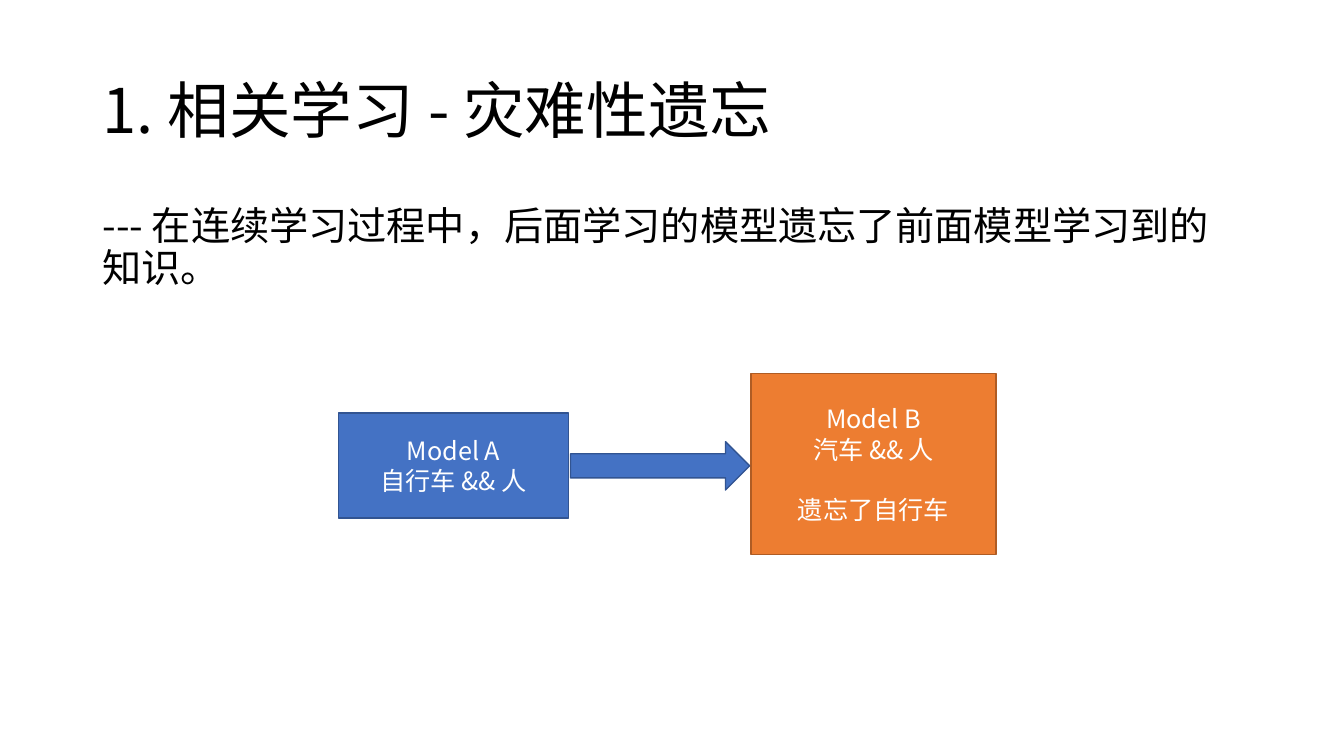
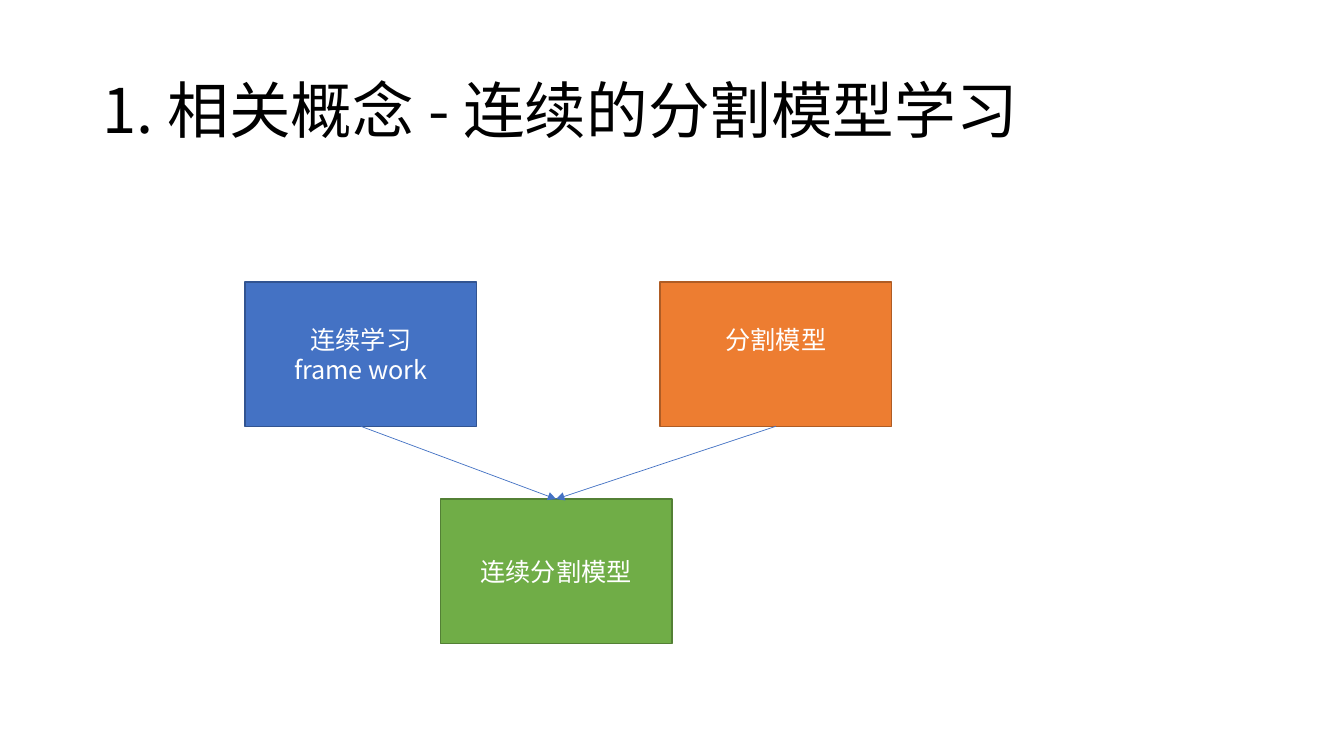
from dataclasses import dataclass

from lxml.etree import SubElement
from pptx import Presentation
from pptx.dml.color import RGBColor as RGB
from pptx.enum.shapes import MSO_CONNECTOR as Conn, MSO_SHAPE as Shape
from pptx.enum.text import MSO_ANCHOR as Anchor, MSO_AUTO_SIZE as AutoSize, PP_ALIGN as Align
from pptx.oxml.ns import qn
from pptx.util import Pt


@dataclass(frozen=True)
class Theme:
    font: str = "Noto Sans CJK SC"
    ink: str = "000000"
    white: str = "FFFFFF"
    blue: tuple = ("4472C4", "325491")
    orange: tuple = ("ED7D31", "AF5C24")
    green: tuple = ("70AD47", "538035")
    title_size: int = 44
    body_size: int = 28
    box_size: int = 18
    body_pitch: float = 30
    box_pitch: float = 21.5
    inset: float = 3.6


T = Theme()
TITLE_AREA = (66, 29, 828, 104.5)
BODY_AREA = (66, 144, 828, 342.5)
TITLE_AND_BODY, TITLE_ONLY = 1, 5


def style(p, size, color, align, spacing):
    p.alignment = align
    p.line_spacing = spacing
    p.space_before = Pt(0)
    p.font.size = Pt(size)
    p.font.color.rgb = RGB.from_string(color)
    p.font.name = T.font
    props = p._p.pPr.find(qn("a:defRPr"))
    SubElement(props, qn("a:ea")).set("typeface", T.font)


def place(sp, area):
    sp.left, sp.top, sp.width, sp.height = map(Pt, area)


def fill_placeholder(sp, area, text, size, spacing, anchor):
    place(sp, area)
    tf = sp.text_frame
    tf.text = text
    tf.auto_size = AutoSize.NONE
    tf.vertical_anchor = anchor
    p = tf.paragraphs[0]
    props = p._p.get_or_add_pPr()
    props.set("marL", "0")
    props.set("indent", "0")
    SubElement(props, qn("a:buNone"))
    style(p, size, T.ink, Align.LEFT, spacing)


def add_slide(prs, layout, title):
    s = prs.slides.add_slide(prs.slide_layouts[layout])
    fill_placeholder(s.shapes.title, TITLE_AREA, title, T.title_size, 0.9, Anchor.MIDDLE)
    return s


def add_block(s, kind, area, colors):
    sp = s.shapes.add_shape(kind, *map(Pt, area))
    fill, line = colors
    sp.shadow.inherit = False
    sp.fill.solid()
    sp.fill.fore_color.rgb = RGB.from_string(fill)
    sp.line.color.rgb = RGB.from_string(line)
    sp.line.width = Pt(1)
    return sp


def add_box(s, area, colors, lines):
    sp = add_block(s, Shape.RECTANGLE, area, colors)
    tf = sp.text_frame
    tf.word_wrap = True
    tf.vertical_anchor = Anchor.MIDDLE
    tf.text = "\n".join(lines)
    for p in tf.paragraphs:
        style(p, T.box_size, T.white, Align.CENTER, Pt(T.box_pitch))
    return sp


def add_link(s, start, end):
    bottom, top = 2, 0
    line = s.shapes.add_connector(Conn.STRAIGHT, 0, 0, 0, 0)
    line.begin_connect(start, bottom)
    line.end_connect(end, top)
    line.line.color.rgb = RGB.from_string(T.blue[0])
    line.line.width = Pt(0.5)
    SubElement(line.line._get_or_add_ln(), qn("a:tailEnd")).set("type", "triangle")
    SubElement(line._element.spPr, qn("a:effectLst"))


def forgetting_slide(prs):
    s = add_slide(prs, TITLE_AND_BODY, "1. 相关学习 - 灾难性遗忘")
    fill_placeholder(s.placeholders[1], BODY_AREA,
                     "--- 在连续学习过程中，后面学习的模型遗忘了前面模型学习到的知识。",
                     T.body_size, Pt(T.body_pitch), Anchor.TOP)
    add_box(s, (242, 295, 164, 75), T.blue, ["Model A", "自行车 && 人"])
    model_b = add_box(s, (536.5, 267, 175, 129), T.orange,
                      ["Model B", "汽车 && 人", "遗忘了自行车"])
    model_b.text_frame.paragraphs[-1].space_before = Pt(T.box_pitch)
    add_block(s, Shape.RIGHT_ARROW, (407.5, 315.5, 128, 34.5), T.blue)


def segmentation_slide(prs):
    s = add_slide(prs, TITLE_ONLY, "1. 相关概念 - 连续的分割模型学习")
    w, h = 165.5, 103
    upper, lower = 201.5, 356.5
    framework = add_box(s, (175, upper, w, h), T.blue, ["连续学习", "frame work"])
    segmenter = add_box(s, (471.5, upper, w, h), T.orange, ["分割模型"])
    segmenter.text_frame.margin_bottom = Pt(T.inset + T.box_pitch)
    combined = add_box(s, (314.5, lower, w, h), T.green, ["连续分割模型"])
    for source in (segmenter, framework):
        add_link(s, source, combined)


def main():
    prs = Presentation()
    prs.slide_width, prs.slide_height = Pt(960), Pt(540)
    forgetting_slide(prs)
    segmentation_slide(prs)
    prs.save("out.pptx")


if __name__ == "__main__":
    main()
